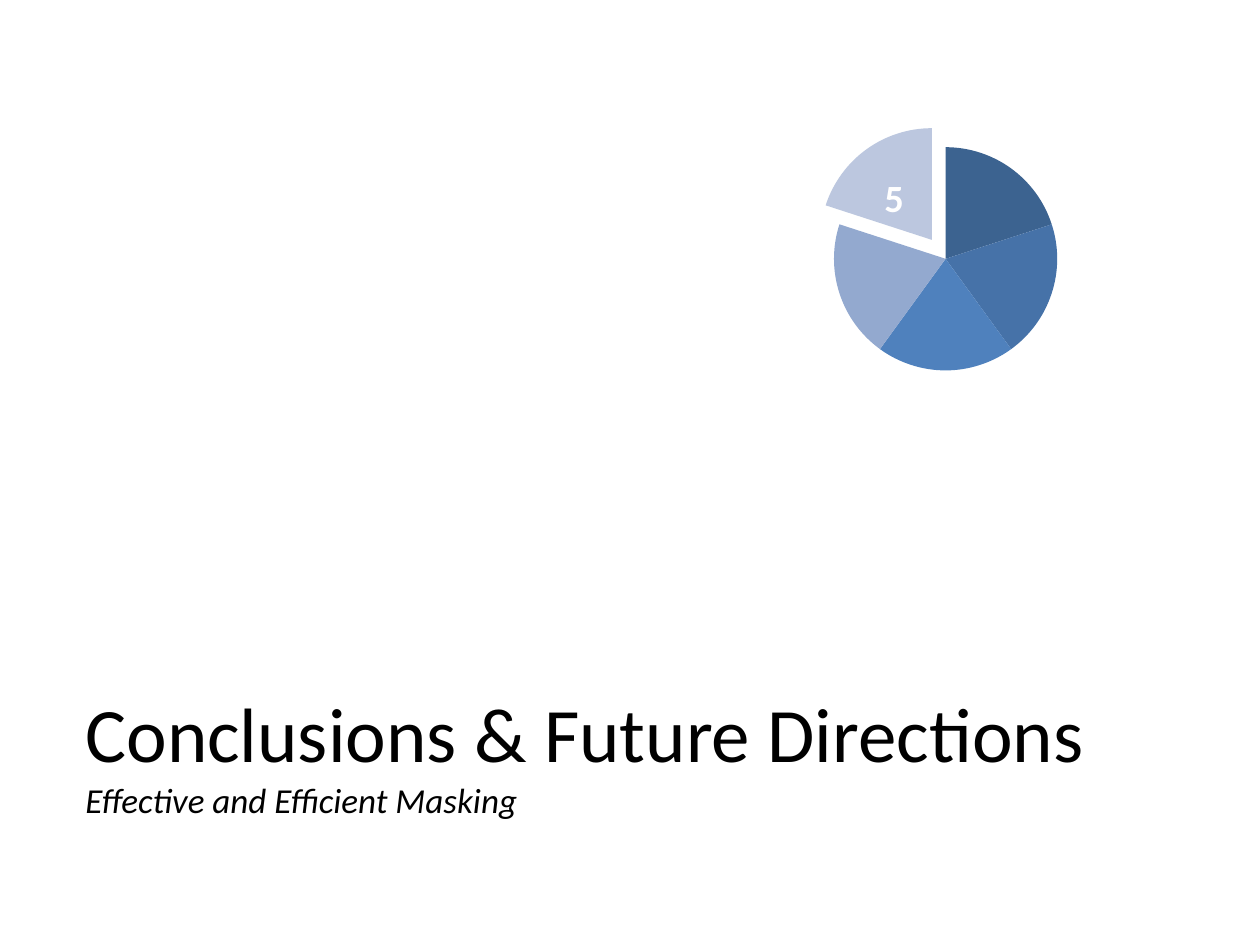
from lxml.etree import SubElement
from pptx import Presentation
from pptx.chart.data import CategoryChartData
from pptx.dml.color import RGBColor
from pptx.enum.chart import XL_CHART_TYPE
from pptx.enum.text import MSO_ANCHOR
from pptx.oxml import parse_xml
from pptx.oxml.ns import nsdecls, qn
from pptx.util import Inches, Pt

TITLE = [("Conclusions & Future Directions", "title", False),
         ("Effective and Efficient Masking", "sub", True)]
PARTS = [("1", 20), ("2", 20), ("3", 20), ("4", 20), ("5", 20)]
PLOT = {"x": 0.22, "y": 0.08, "w": 0.56, "h": 0.84}
BURST = 21
THEME = {
    "font": "Calibri", "ink": "000000", "light": "FFFFFF",
    "pie": ["3C6390", "4672A8", "4F81BD", "93A9CF", "BCC7DF"],
    "size": {"title": 44, "sub": 20, "label": 22, "chart": 18},
}


def style(font, size, color="ink", bold=False, italic=False):
    """Apply the theme to a font."""
    font.name = THEME["font"]
    font.size = Pt(THEME["size"][size])
    font.color.rgb = RGBColor.from_string(THEME[color])
    font.bold, font.italic = bold, italic


def write(slide, lines, box, anchor=MSO_ANCHOR.TOP, color="ink", bold=False):
    """Add a text box whose lines share one paragraph."""
    frame = slide.shapes.add_textbox(*map(Inches, box)).text_frame
    frame.word_wrap = True
    frame.vertical_anchor = anchor
    para = frame.paragraphs[0]
    for n, (text, size, italic) in enumerate(lines):
        if n:
            para.add_line_break()
        run = para.add_run()
        run.text = text
        style(run.font, size, color, bold, italic)


def draw_pie(slide, box):
    """Add the pie with its last slice pulled out."""
    data = CategoryChartData()
    data.categories = [name for name, _ in PARTS]
    data.add_series("Series 1", [value for _, value in PARTS])
    chart = slide.shapes.add_chart(
        XL_CHART_TYPE.PIE, *map(Inches, box), data).chart
    chart.has_legend = chart.has_title = False
    style(chart.font, "chart")
    plot = chart.plots[0]
    plot.vary_by_categories = True
    series = plot.series[0]
    for n, color in enumerate(THEME["pie"]):
        point = series.points[n].format
        point.fill.solid()
        point.fill.fore_color.rgb = RGBColor.from_string(color)
        point.line.fill.background()
    last = series._element.findall(qn("c:dPt"))[-1]
    burst = parse_xml(f'<c:explosion {nsdecls("c")} val="{BURST}"/>')
    last.find(qn("c:spPr")).addprevious(burst)
    area = chart._chartSpace.chart.plotArea
    for old in area.findall(qn("c:layout")):
        area.remove(old)
    layout = parse_xml(f'<c:layout {nsdecls("c")}/>')
    area.insert(0, layout)
    manual = SubElement(layout, qn("c:manualLayout"))
    rules = {"layoutTarget": "inner", "xMode": "edge", "yMode": "edge"}
    for tag, value in {**rules, **PLOT}.items():
        SubElement(manual, qn(f"c:{tag}")).set("val", str(value))


def main():
    """Build and save the slide."""
    deck = Presentation()
    deck.slide_width, deck.slide_height = Inches(10), Inches(7.5)
    slide = deck.slides.add_slide(deck.slide_layouts[6])
    write(slide, TITLE, (0.58, 5.17, 8.5, 1.61), anchor=MSO_ANCHOR.MIDDLE)
    draw_pie(slide, (5.92, 1, 3.17, 2.11))
    write(slide, [(PARTS[-1][0], "label", False)], (6.92, 1.33, 0.52, 0.47),
          color="light", bold=True)
    deck.save("out.pptx")


if __name__ == "__main__":
    main()
